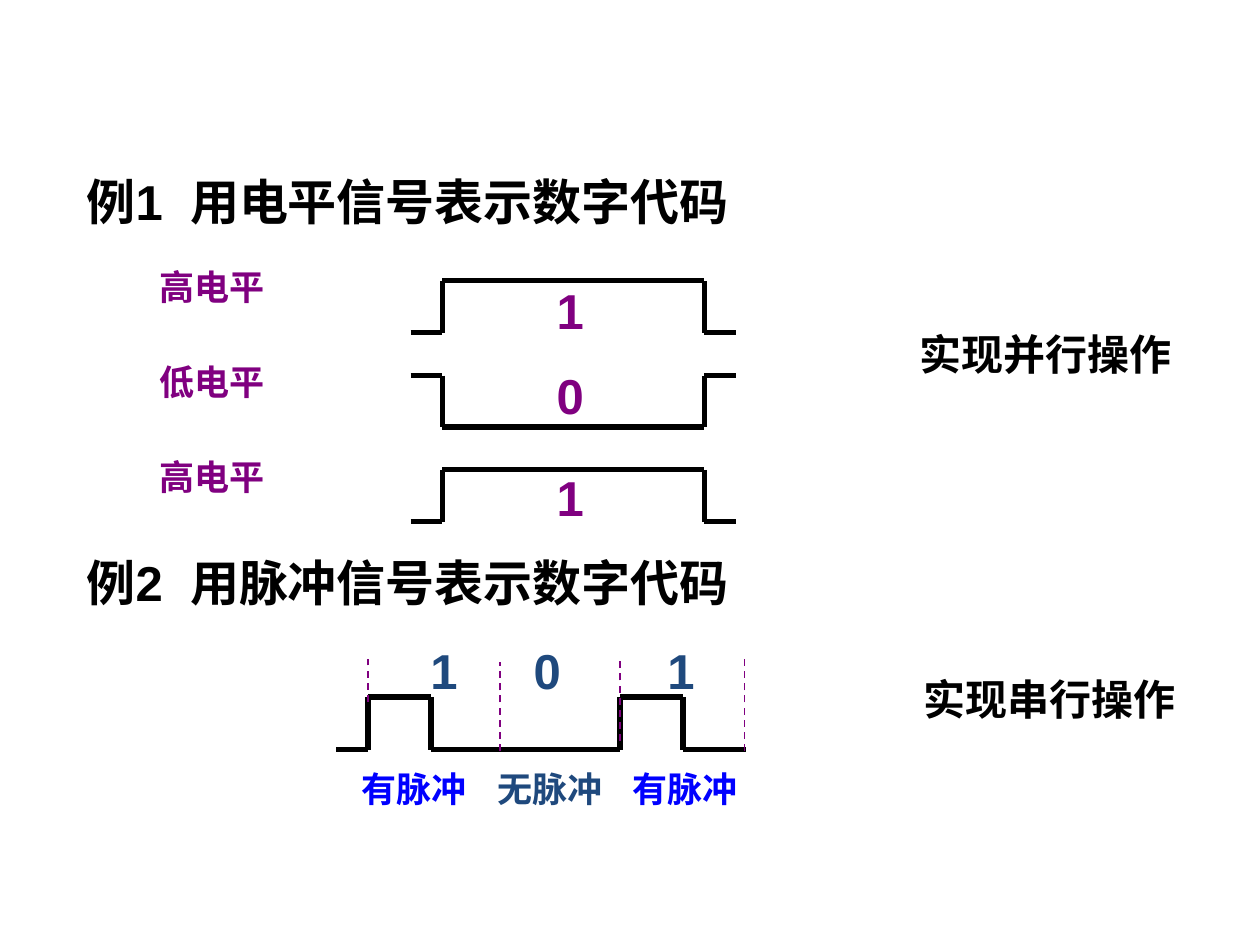
import itertools

import pptx
import pptx.dml.color
import pptx.enum.dml
import pptx.enum.shapes
import pptx.enum.text
import pptx.oxml.ns
import pptx.util
from lxml import etree

Cm = pptx.util.Cm
Pt = pptx.util.Pt
RGB = pptx.dml.color.RGBColor
ALIGN = pptx.enum.text.PP_ALIGN

BLACK = RGB(0x00, 0x00, 0x00)
PURPLE = RGB(0x80, 0x00, 0x80)
BLUE = RGB(0x00, 0x00, 0xFF)
NAVY = RGB(0x1F, 0x49, 0x7D)


class Page:
    font = "Arial"
    high = {20: 1.04, 24: 1.19, 28: 1.35}  # box height in cm by text size

    def __init__(self, slide):
        self.slide = slide
        self.group = None

    def start(self):
        """Open a new group that takes the elements that follow."""
        self.group = self.slide.shapes.add_group_shape()

    def text(self, words, left, top, width, size, color, align=ALIGN.LEFT):
        box = self.group.shapes.add_textbox(
            Cm(left), Cm(top), Cm(width), Cm(self.high[size]))
        frame = box.text_frame
        frame.word_wrap = True
        frame.auto_size = pptx.enum.text.MSO_AUTO_SIZE.SHAPE_TO_FIT_TEXT
        para = frame.paragraphs[0]
        para.alignment = align
        run = para.add_run()
        run.text = words
        run.font.name = self.font
        run.font.size = Pt(size)
        run.font.bold = True
        run.font.color.rgb = color

    def line(self, start, end, color=BLACK, width=3, dash=False):
        link = self.group.shapes.add_connector(
            pptx.enum.shapes.MSO_CONNECTOR.STRAIGHT,
            Cm(start[0]), Cm(start[1]), Cm(end[0]), Cm(end[1]))
        link.line.color.rgb = color
        link.line.width = Pt(width)
        if dash:
            link.line.dash_style = pptx.enum.dml.MSO_LINE.DASH
        etree.SubElement(link._element.spPr, pptx.oxml.ns.qn("a:effectLst"))

    def wave(self, edges, rest, peak):
        """Draw a square wave that starts at rest and flips at each inner edge."""
        levels = itertools.cycle((rest, peak))
        points = []
        for (left, right), level in zip(itertools.pairwise(edges), levels):
            points += [(left, level), (right, level)]
        for start, end in itertools.pairwise(points):
            self.line(start, end)


def levels(page):
    page.start()
    page.text("例1  用电平信号表示数字代码", 1.5, 3.33, 19.89, 28, BLACK)
    rows = (
        ("高电平", "1", 5.54, 6.71, 5.66),
        ("低电平", "0", 7.24, 7.57, 8.61),
        ("高电平", "1", 9.3, 10.52, 9.47),
    )
    for i, (label, digit, top, rest, peak) in enumerate(rows):
        page.text(label, 2.97, 5.23 + 1.91 * i, 6.55, 20, PURPLE)
        page.text(digit, 10.97, top, 3.38, 28, PURPLE)
        page.wave((8.28, 8.92, 14.2, 14.83), rest, peak)
    page.text("实现并行操作", 18.29, 6.5, 5.92, 24, BLACK)


def pulses(page):
    page.start()
    page.text("例2  用脉冲信号表示数字代码", 1.5, 11.02, 19.89, 28, BLACK)
    page.wave((6.78, 7.42, 8.69, 12.5, 13.77, 15.04), 15.11, 14.05)
    for x, low, top in ((7.42, 14.15, 13.23), (10.08, 15.14, 13.34),
                        (12.5, 14.94, 13.26), (15.01, 15.14, 13.26)):
        page.line((x, low), (x, top), PURPLE, 1, True)
    marks = (("1", 8, "有脉冲", BLUE), ("0", 10.08, "无脉冲", NAVY),
             ("1", 12.78, "有脉冲", BLUE))
    for i, (digit, left, label, color) in enumerate(marks):
        page.text(digit, left, 12.78, 1.9, 28, NAVY, ALIGN.CENTER)
        page.text(label, 7.04 + 2.73 * i, 15.34, 4.01, 20, color)
    page.text("实现串行操作", 18.36, 13.46, 5.92, 24, BLACK)


def main():
    deck = pptx.Presentation()
    deck.slide_width = Cm(25.4)
    deck.slide_height = Cm(19.05)
    page = Page(deck.slides.add_slide(deck.slide_layouts[6]))
    levels(page)
    pulses(page)
    deck.save("out.pptx")


if __name__ == "__main__":
    main()
